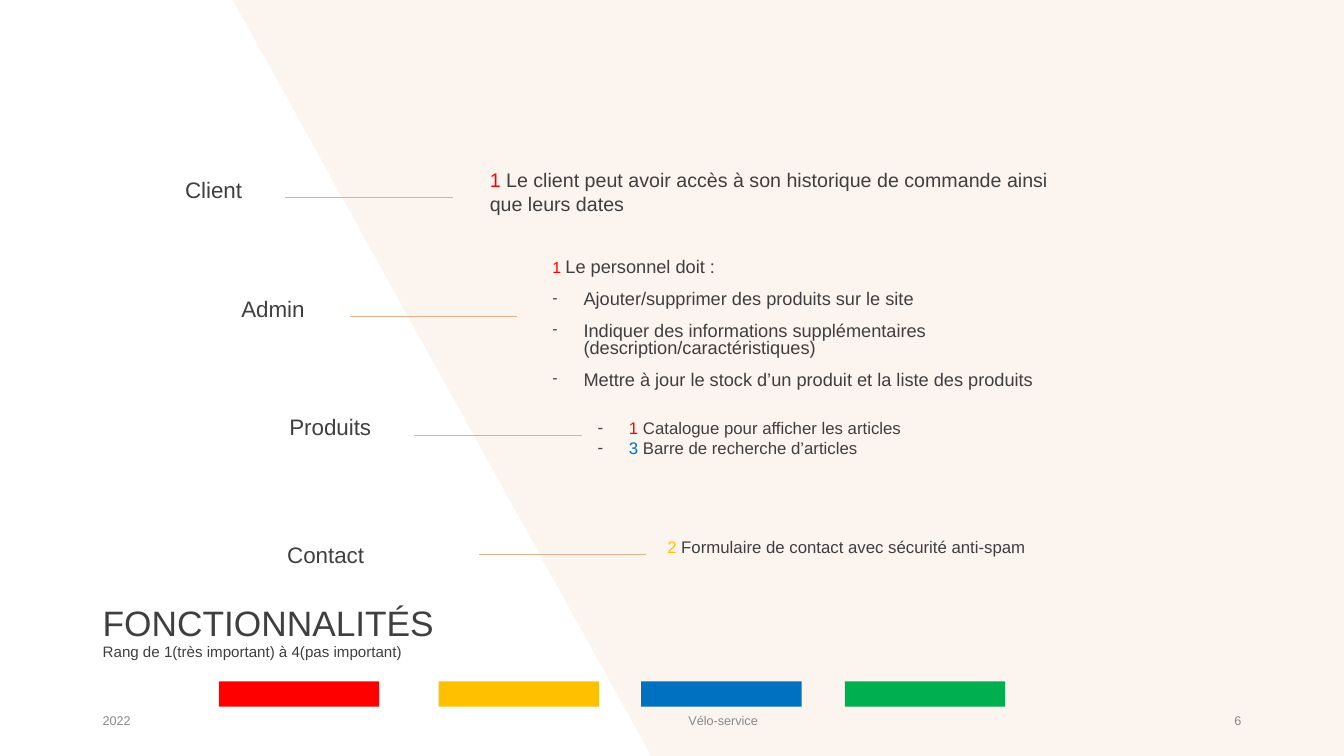
from pptx import Presentation
from pptx.dml.color import RGBColor
from pptx.enum.shapes import MSO_CONNECTOR, MSO_SHAPE
from pptx.enum.text import MSO_ANCHOR, PP_ALIGN
from pptx.oxml.ns import qn
from pptx.util import Emu, Pt
from lxml.etree import SubElement

# ---- Content: a run is (text, size name, colour name), a paragraph is a list of runs
TITLE = [[("FONCTIONNALITÉS\n", "title", "ink"),
          ("Rang de 1(très important) à 4(pas important)", "subtitle", "ink")]]

# Topic, its box and layout
TOPICS = [
    ("Client", (16, 162, 234, 56), dict(align=PP_ALIGN.RIGHT, anchor=MSO_ANCHOR.MIDDLE)),
    ("Admin", (78, 280, 234, 56), dict(align=PP_ALIGN.RIGHT, anchor=MSO_ANCHOR.MIDDLE)),
    ("Produits", (144, 397, 234, 56), dict(align=PP_ALIGN.RIGHT, anchor=MSO_ANCHOR.MIDDLE)),
    ("Contact", (275, 535, 234, 56), {}),
]

# Box, paragraphs and layout of each topic's details
DETAILS = [
    ((476, 162, 606, 64),
     [[("1", "client", "rank1"),
       (" Le client peut avoir accès à son historique de commande ainsi\nque leurs dates",
        "client", "ink")]], {}),
    ((538, 253, 606, 145),
     [[("1 ", "rank", "rank1"), ("Le personnel doit :", "admin", "ink")],
      [("Ajouter/supprimer des produits sur le site", "admin", "ink")],
      [("Indiquer des informations supplémentaires (description/caractéristiques)",
        "admin", "ink")],
      [("Mettre à jour le stock d’un produit et la liste des produits", "admin", "ink")]],
     dict(spacing=0.8, before=10, bullets_from=1, bullet_pct=87)),
    ((583, 409, 606, 81),
     [[("1", "detail", "rank1"), (" Catalogue pour afficher les articles", "detail", "ink")],
      [("3", "detail", "rank3"), (" Barre de recherche d’articles", "detail", "ink")]],
     dict(bullets_from=0)),
    ((652, 528, 606, 111),
     [[("2", "detail", "rank2"),
       (" Formulaire de contact avec sécurité anti-spam", "detail", "ink")]], {}),
]

FOOTERS = [
    ("2022", (92, 695, 300, 40), PP_ALIGN.LEFT),
    ("Vélo-service", (673, 695, 198, 40), PP_ALIGN.LEFT),
    ("6", (1182, 695, 59, 40), PP_ALIGN.RIGHT),
]

RANK_BARS = [(217, "rank1"), (435, "rank2"), (636, "rank3"), (838, "rank4")]

THEME = {
    "font": "Arial",
    "color": {"panel": "FBF4EF", "rule": "E2B08C", "ink": "3F3F3F", "footer": "888888",
              "rank1": "FF0000", "rank2": "FFC000", "rank3": "0070C0", "rank4": "00B050"},
    "size": {"title": 25.2, "subtitle": 10.8, "topic": 16, "client": 14, "admin": 13,
             "rank": 11.3, "detail": 12, "footer": 9},
}

# ---- Geometry, 100 px to the inch
PX = 9144
W, H = 1333, 750
RULE_X, RULE_Y, RULE_W = 283, 196, 166
STEP_X, STEP_Y = 64, 118
BAR_Y, BAR_W, BAR_H = 676, 159, 25
INDENT = 31


def px(*values):
    return [Emu(v * PX) for v in values]


def color(name):
    return RGBColor.from_string(THEME["color"][name])


def paint(sp, name):
    sp.shadow.inherit = False
    sp.fill.solid()
    sp.fill.fore_color.rgb = color(name)
    sp.line.fill.background()


def add_bullet(p, pct):
    pPr = p._p.get_or_add_pPr()
    pPr.set("marL", str(INDENT * PX))
    pPr.set("indent", str(-INDENT * PX))
    clr = SubElement(pPr, qn("a:buClr"))
    SubElement(clr, qn("a:srgbClr"), val=THEME["color"]["ink"])
    SubElement(pPr, qn("a:buSzPct"), val=str(pct * 1000))
    SubElement(pPr, qn("a:buFont"), typeface=THEME["font"])
    SubElement(pPr, qn("a:buChar"), char="-")


def add_text(paragraphs, box, *, align=PP_ALIGN.LEFT, anchor=MSO_ANCHOR.TOP,
             spacing=1.0, before=0, bullets_from=None, bullet_pct=100):
    tf = s.shapes.add_textbox(*px(*box)).text_frame
    tf.word_wrap = True
    tf.vertical_anchor = anchor
    for i, runs in enumerate(paragraphs):
        p = tf.paragraphs[0] if i == 0 else tf.add_paragraph()
        p.alignment = align
        p.line_spacing = spacing
        p.space_before = Pt(before if i else 0)
        if bullets_from is not None and i >= bullets_from:
            add_bullet(p, bullet_pct)
        for text, size, ink in runs:
            for n, line in enumerate(text.split("\n")):
                if n:
                    p.add_line_break()
                if line:
                    r = p.add_run()
                    r.text = line
                    r.font.name = THEME["font"]
                    r.font.size = Pt(THEME["size"][size])
                    r.font.color.rgb = color(ink)


prs = Presentation()
prs.slide_width, prs.slide_height = px(W, H)
s = prs.slides.add_slide(prs.slide_layouts[6])

# Slanted panel
outline = s.shapes.build_freeform(646, H, scale=PX)
outline.add_line_segments([(231, 0), (W, 0), (W, H)], close=True)
paint(outline.convert_to_shape(), "panel")

# Rules, stepping along the slant
for i in range(len(TOPICS)):
    x, y = RULE_X + i * STEP_X, RULE_Y + i * STEP_Y
    rule = s.shapes.add_connector(MSO_CONNECTOR.STRAIGHT, *px(x, y, x + RULE_W, y))
    rule.line.color.rgb = color("rule")
    rule.line.width = Pt(0.75)
    SubElement(rule._element.spPr, qn("a:effectLst"))

# Title, topics and details
add_text(TITLE, (92, 603, 502, 51), anchor=MSO_ANCHOR.MIDDLE, spacing=0.9)
for topic, box, layout in TOPICS:
    add_text([[(topic, "topic", "ink")]], box, spacing=0.9, **layout)
for box, paragraphs, layout in DETAILS:
    add_text(paragraphs, box, **layout)

# Footer
for text, box, align in FOOTERS:
    add_text([[(text, "footer", "footer")]], box, align=align, anchor=MSO_ANCHOR.MIDDLE)

# Rank colour bars
for x, rank in RANK_BARS:
    paint(s.shapes.add_shape(MSO_SHAPE.RECTANGLE, *px(x, BAR_Y, BAR_W, BAR_H)), rank)

prs.save("out.pptx")
